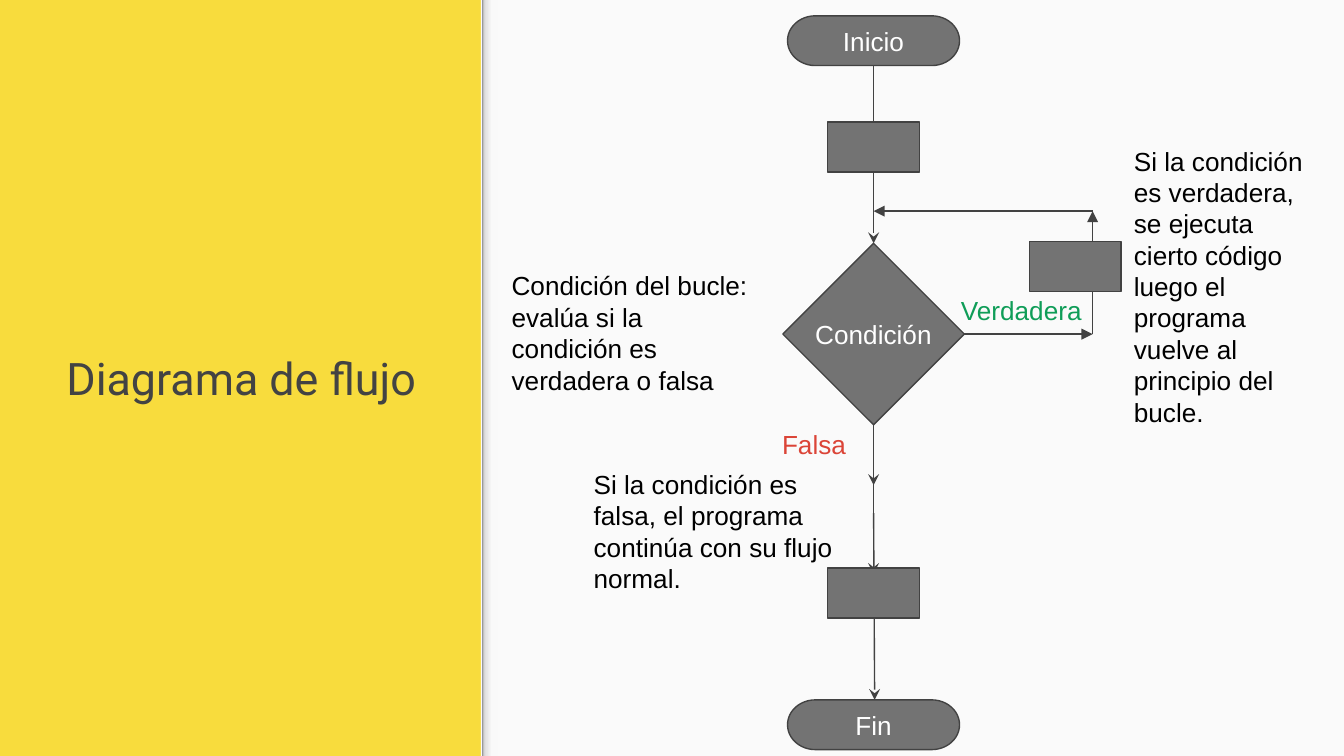
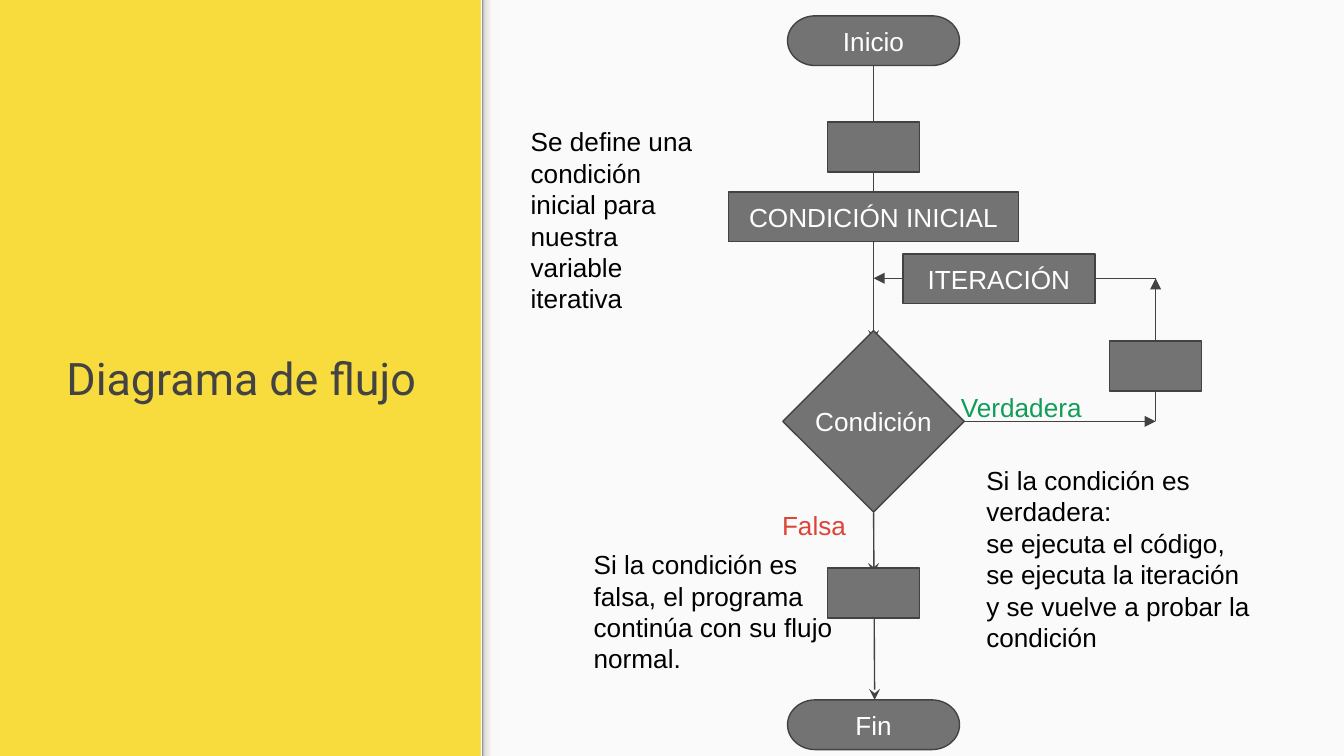
import pptx
import pptx.util
import pptx.dml.color
import pptx.enum.shapes
import pptx.enum.text
import pptx.oxml
import pptx.oxml.ns
from pptx.util import Cm

COLOURS = {
    "background": "F8DC3D", "panel": "FAFAFA", "title": "434343",
    "box": "737373", "line": "424242", "white": "FFFFFF", "black": "000000",
    "true": "0F9D58", "false": "DB4437",
}
SHADOW_STOPS = [(0, "F9F9F9"), (36, "F9F9F9"), (80, "DEDEDE"), (100, "999999")]
NAMESPACE = 'xmlns:a="http://schemas.openxmlformats.org/drawingml/2006/main"'
SHAPES = pptx.enum.shapes.MSO_SHAPE
ALIGN = pptx.enum.text.PP_ALIGN
ANCHOR = pptx.enum.text.MSO_ANCHOR

# Lengths in centimetres
WIDTH, HEIGHT = 25.4, 14.29
PANEL_LEFT = 9.09
AXIS = 16.51
BOX_HEIGHT = 0.94
DIAMOND_SIZE = 3.43
ARROW_LENGTH = 3.86
START_TOP, END_TOP = 0.3, 13.23
FIRST_TOP, LAST_TOP = 2.31, 10.74


def colour(name):
    return pptx.dml.color.RGBColor.from_string(COLOURS[name])


class FlowDeck:
    """Holds the style and the current slide."""

    def __init__(self):
        self.presentation = pptx.Presentation()
        self.presentation.slide_width = Cm(WIDTH)
        self.presentation.slide_height = Cm(HEIGHT)
        self.layout = self.presentation.slide_layouts[5]
        self.slide = None

    def decorate_layout(self):
        """Put the yellow ground, the pale panel and its edge on the layout."""
        fill = self.layout.background.fill
        fill.solid()
        fill.fore_color.rgb = colour("background")
        panel = self.plain_shape(SHAPES.RECTANGLE, PANEL_LEFT, 0,
                                 WIDTH - PANEL_LEFT, HEIGHT, "panel")
        edge = self.plain_shape(SHAPES.RECTANGLE, 2.11, 6.99, HEIGHT, 0.3, "panel")
        edge.rotation = 270
        stops = "".join(f'<a:gs pos="{position * 1000}"><a:srgbClr val="{value}"/></a:gs>'
                        for position, value in SHADOW_STOPS)
        gradient = pptx.oxml.parse_xml(
            f'<a:gradFill {NAMESPACE} rotWithShape="1"><a:gsLst>{stops}</a:gsLst>'
            '<a:lin ang="16200000" scaled="0"/></a:gradFill>')
        properties = edge.element.spPr
        solid = properties.find(pptx.oxml.ns.qn("a:solidFill"))
        properties.replace(solid, gradient)
        for index, shape in enumerate((panel, edge)):
            self.layout.shapes.element.insert(2 + index, shape.element)

    def new_slide(self, title):
        first = self.slide is None
        self.slide = self.presentation.slides.add_slide(self.layout)
        if first:
            self.decorate_layout()
        shape = self.slide.shapes.title
        shape.left, shape.top = Cm(0.66), Cm(5.82)
        shape.width, shape.height = Cm(7.8), Cm(2.64)
        self.set_text(shape.text_frame, [title], "title", size=24, font="Roboto",
                      align=ALIGN.CENTER, anchor=ANCHOR.MIDDLE)

    def set_text(self, frame, lines, colour_name, size=14, font="Arial",
                 align=ALIGN.LEFT, anchor=ANCHOR.TOP, wrap=True):
        frame.word_wrap = wrap
        frame.auto_size = pptx.enum.text.MSO_AUTO_SIZE.NONE
        frame.vertical_anchor = anchor
        frame.margin_left = frame.margin_right = Cm(0.25)
        frame.margin_top = frame.margin_bottom = Cm(0.25)
        frame.text = "\n".join(lines)
        for paragraph in frame.paragraphs:
            paragraph.alignment = align
            paragraph.font.size = pptx.util.Pt(size)
            paragraph.font.name = font
            paragraph.font.color.rgb = colour(colour_name)

    def plain_shape(self, kind, left, top, width, height, fill):
        shape = self.slide.shapes.add_shape(kind, Cm(left), Cm(top), Cm(width), Cm(height))
        shape.shadow.inherit = False
        shape.fill.solid()
        shape.fill.fore_color.rgb = colour(fill)
        shape.line.fill.background()
        return shape

    def node(self, kind, top, text="", width=1.73, height=BOX_HEIGHT, centre=AXIS):
        """Add a flowchart symbol centred on a vertical line."""
        shape = self.plain_shape(kind, centre - width / 2, top, width, height, "box")
        shape.line.color.rgb = colour("line")
        shape.line.width = pptx.util.Pt(0.75)
        if text:
            self.set_text(shape.text_frame, [text], "white", align=ALIGN.CENTER,
                          anchor=ANCHOR.MIDDLE, wrap=False)

    def note(self, left, top, width, height, *lines, colour_name="black"):
        box = self.slide.shapes.add_textbox(Cm(left), Cm(top), Cm(width), Cm(height))
        self.set_text(box.text_frame, lines, colour_name)

    def arrow(self, x1, y1, x2, y2, head="triangle"):
        connector = self.slide.shapes.add_connector(
            pptx.enum.shapes.MSO_CONNECTOR.STRAIGHT, Cm(x1), Cm(y1), Cm(x2), Cm(y2))
        connector.line.color.rgb = colour("line")
        connector.line.width = pptx.util.Pt(0.75)
        properties = connector.element.spPr
        properties.find(pptx.oxml.ns.qn("a:ln")).append(
            pptx.oxml.parse_xml(f'<a:tailEnd {NAMESPACE} type="{head}"/>'))
        properties.append(pptx.oxml.parse_xml(f"<a:effectLst {NAMESPACE}/>"))

    def flowchart(self, arrow_tops, diamond_top, loop_right, loop_top):
        """Draw the main line, the loop and the symbols both slides share."""
        # Main line
        for top in arrow_tops:
            self.arrow(AXIS, top, AXIS, top + ARROW_LENGTH, "stealth")
        self.arrow(AXIS, 9.7, AXIS + 0.02, END_TOP, "stealth")
        # Loop: right, up and back
        middle = diamond_top + DIAMOND_SIZE / 2
        self.arrow(AXIS + DIAMOND_SIZE / 2, middle, loop_right, middle)
        self.arrow(loop_right, middle, loop_right, loop_top)
        self.arrow(loop_right, loop_top, AXIS, loop_top)
        # Symbols
        self.node(SHAPES.DIAMOND, diamond_top, "Condición", DIAMOND_SIZE, DIAMOND_SIZE)
        for top, text in ((START_TOP, "Inicio"), (END_TOP, "Fin")):
            self.node(SHAPES.FLOWCHART_TERMINATOR, top, text, 3.25)
        for top in (FIRST_TOP, LAST_TOP):
            self.node(SHAPES.FLOWCHART_PROCESS, top)

    def outcomes(self, true_top, false_top):
        """Label both exits of the condition and explain the false one."""
        self.note(17.91, true_top, 2.92, 1.35, "Verdadera", colour_name="true")
        self.note(14.53, false_top, 1.8, 1.35, "Falsa", colour_name="false")
        self.note(10.97, false_top + 0.75, 5.38, 2.9,
                  "Si la condición es falsa, el programa continúa con su flujo normal.")


deck = FlowDeck()

# Slide 1: loop with a condition
deck.new_slide("Diagrama de flujo")
deck.flowchart((0.74, 5.31, 6.99), diamond_top=4.6, loop_right=20.65, loop_top=3.99)
deck.node(SHAPES.FLOWCHART_PROCESS, 4.57, centre=20.32)
deck.outcomes(true_top=5.31, false_top=7.85)
deck.note(9.42, 4.85, 5.11, 2.9, "Condición del bucle:",
          "evalúa si la condición es verdadera o falsa")
deck.note(21.18, 2.49, 3.94, 5.74,
          "Si la condición es verdadera, se ejecuta cierto código luego "
          "el programa vuelve al principio del bucle.")

# Slide 2: loop with a start value and an iteration
deck.new_slide("Diagrama de flujo")
deck.flowchart((0.74, 2.59, 6.99), diamond_top=6.25, loop_right=21.84, loop_top=5.26)
deck.node(SHAPES.FLOWCHART_PROCESS, 3.63, "CONDICIÓN INICIAL", 5.49)
deck.node(SHAPES.FLOWCHART_PROCESS, 4.8, "ITERACIÓN", 3.63, centre=18.88)
deck.node(SHAPES.FLOWCHART_PROCESS, 6.45, centre=21.84)
deck.outcomes(true_top=7.14, false_top=9.37)
deck.note(18.39, 8.53, 6.15, 3.86, "Si la condición es verdadera:",
          "se ejecuta el código,", "se ejecuta la iteración",
          "y se vuelve a probar la condición")
deck.note(9.78, 2.13, 3.76, 3.96,
          "Se define una condición inicial para nuestra variable iterativa")

deck.presentation.save("out.pptx")
